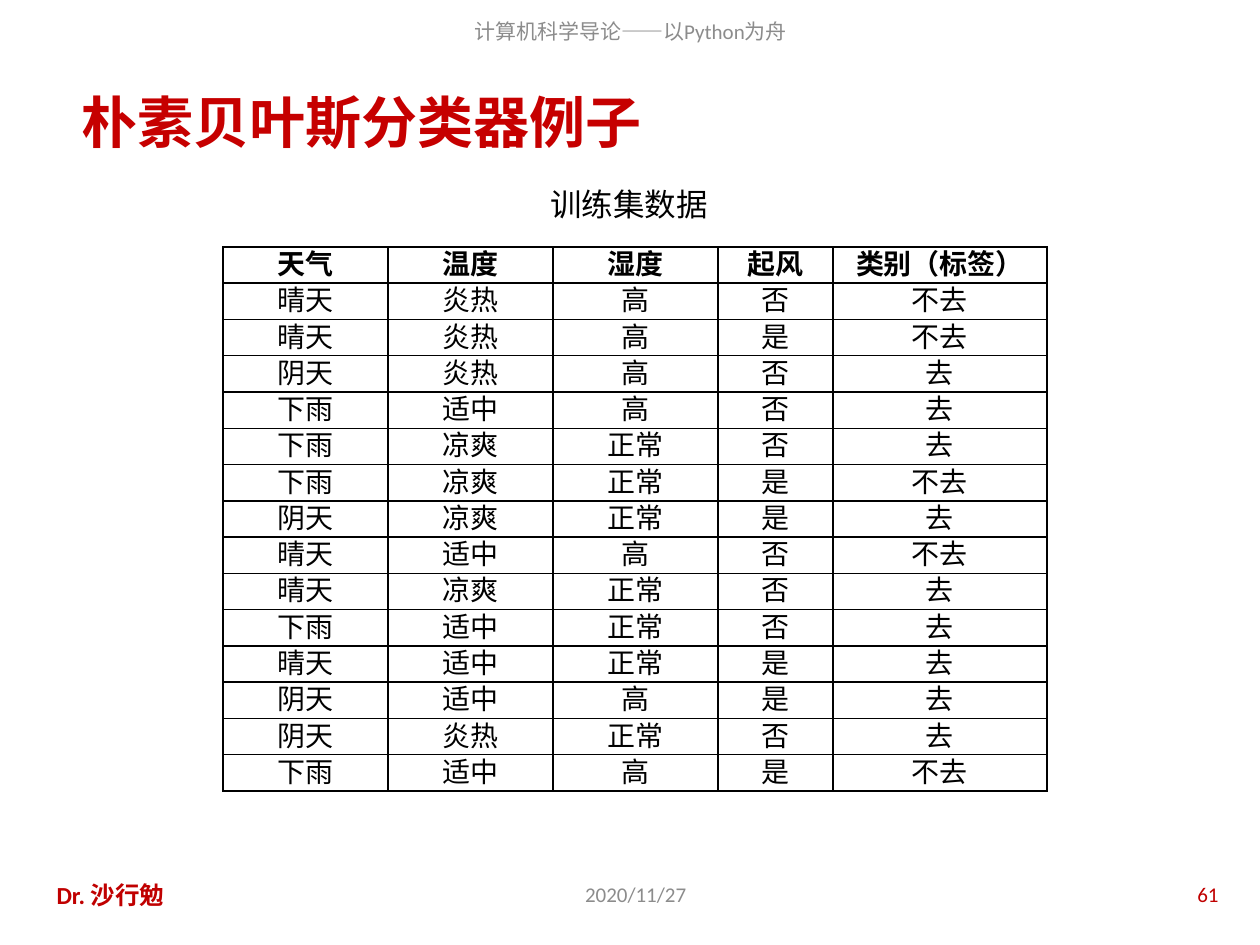
"""Build the training-data slide of the naive Bayes classifier example."""
from lxml.etree import SubElement
from pptx import Presentation
from pptx.dml.color import RGBColor
from pptx.enum.text import MSO_ANCHOR, PP_ALIGN
from pptx.oxml.ns import qn
from pptx.util import Inches, Pt

BLACK = RGBColor(0x00, 0x00, 0x00)
GRAY = RGBColor(0x8C, 0x8C, 0x8C)
RED = RGBColor(0xC0, 0x00, 0x00)
TITLE_RED = RGBColor(0xC6, 0x00, 0x00)

SLIDE_WIDTH, SLIDE_HEIGHT = Inches(10), Inches(7.5)
GRID_COLUMNS, GRID_ROWS = 100, 75
FOOTER_ROW, FOOTER_HEIGHT = 69, 4

COLUMN_SPANS = [13.1, 13.1, 13.1, 9.1, 17]
ROW_SPAN = 2.88
WEATHER_TABLE = [
    ["天气", "温度", "湿度", "起风", "类别（标签）"],
    ["晴天", "炎热", "高", "否", "不去"],
    ["晴天", "炎热", "高", "是", "不去"],
    ["阴天", "炎热", "高", "否", "去"],
    ["下雨", "适中", "高", "否", "去"],
    ["下雨", "凉爽", "正常", "否", "去"],
    ["下雨", "凉爽", "正常", "是", "不去"],
    ["阴天", "凉爽", "正常", "是", "去"],
    ["晴天", "适中", "高", "否", "不去"],
    ["晴天", "凉爽", "正常", "否", "去"],
    ["下雨", "适中", "正常", "否", "去"],
    ["晴天", "适中", "正常", "是", "去"],
    ["阴天", "适中", "高", "是", "去"],
    ["阴天", "炎热", "正常", "否", "去"],
    ["下雨", "适中", "高", "是", "不去"],
]


def across(columns):
    """Convert grid columns to a length."""
    return round(SLIDE_WIDTH * columns / GRID_COLUMNS)


def down(rows):
    """Convert grid rows to a length."""
    return round(SLIDE_HEIGHT * rows / GRID_ROWS)


def area(column, row, columns, rows):
    """Return left, top, width and height of a grid area."""
    return across(column), down(row), across(columns), down(rows)


def style_text(frame, text, size, color, bold=False, align=PP_ALIGN.LEFT, font="Calibri"):
    """Write one formatted paragraph into a text frame."""
    frame.text = text
    para = frame.paragraphs[0]
    para.alignment = align
    for span in para.runs:
        span.font.name = font
        span.font.size = Pt(size)
        span.font.bold = bold
        span.font.color.rgb = color
    return para


def add_title(page, text, place):
    """Place and format the title placeholder."""
    title = page.shapes.title
    title.left, title.top, title.width, title.height = place
    title.text_frame.vertical_anchor = MSO_ANCHOR.MIDDLE
    style_text(title.text_frame, text, 32, TITLE_RED, True, PP_ALIGN.CENTER)


def add_label(page, text, place, size, color, bold=False, align=PP_ALIGN.LEFT,
              wrap=True, anchor=MSO_ANCHOR.MIDDLE):
    """Add a text box with one line."""
    frame = page.shapes.add_textbox(*place).text_frame
    frame.word_wrap = wrap
    frame.vertical_anchor = anchor
    style_text(frame, text, size, color, bold, align)


def add_borders(cell):
    """Draw a thin black line on every side of a cell."""
    properties = cell._tc.get_or_add_tcPr()
    for side in ("a:lnL", "a:lnR", "a:lnT", "a:lnB"):
        line = SubElement(properties, qn(side), w=str(Pt(1)))
        fill = SubElement(line, qn("a:solidFill"))
        SubElement(fill, qn("a:srgbClr"), val=str(BLACK))


def format_cell(cell, text, bold):
    """Fill in one bordered, centred cell."""
    cell.margin_left = cell.margin_right = Inches(0.07)
    cell.margin_top = cell.margin_bottom = 0
    cell.vertical_anchor = MSO_ANCHOR.MIDDLE
    add_borders(cell)
    cell.fill.background()
    para = style_text(cell.text_frame, text, 16, BLACK, bold, PP_ALIGN.CENTER,
                      "Times New Roman")
    para.line_spacing = Pt(20)


def add_data_table(page, data, column, row):
    """Add the table with a bold header row."""
    place = area(column, row, sum(COLUMN_SPANS), ROW_SPAN * len(data))
    table = page.shapes.add_table(len(data), len(COLUMN_SPANS), *place).table
    table.first_row = table.horz_banding = False
    for table_column, span in zip(table.columns, COLUMN_SPANS):
        table_column.width = across(span)
    for row_index, values in enumerate(data):
        table.rows[row_index].height = down(ROW_SPAN)
        for column_index, value in enumerate(values):
            format_cell(table.cell(row_index, column_index), value, row_index == 0)


def main():
    """Build and save the deck."""
    deck = Presentation()
    deck.slide_width, deck.slide_height = SLIDE_WIDTH, SLIDE_HEIGHT
    page = deck.slides.add_slide(deck.slide_layouts[5])
    add_label(page, "计算机科学导论——以Python为舟", area(15.4, 0.5, 69.3, 3.9),
              12, GRAY, align=PP_ALIGN.CENTER)
    add_label(page, "2020/11/27", area(33.5, FOOTER_ROW, 33.9, FOOTER_HEIGHT),
              12, GRAY, align=PP_ALIGN.CENTER)
    add_label(page, "Dr. 沙行勉", area(3.5, FOOTER_ROW, 22.1, FOOTER_HEIGHT),
              14, RED, bold=True)
    add_label(page, "61", area(74.4, FOOTER_ROW, 23.3, FOOTER_HEIGHT),
              12, RED, align=PP_ALIGN.RIGHT)
    add_data_table(page, WEATHER_TABLE, 17.7, 19.6)
    add_label(page, "训练集数据", area(42.7, 14.2, 14.6, 4), 18, BLACK,
              wrap=False, anchor=MSO_ANCHOR.TOP)
    add_title(page, "朴素贝叶斯分类器例子", area(5, 5.3, 47.4, 8.6))
    deck.save("out.pptx")


if __name__ == "__main__":
    main()
